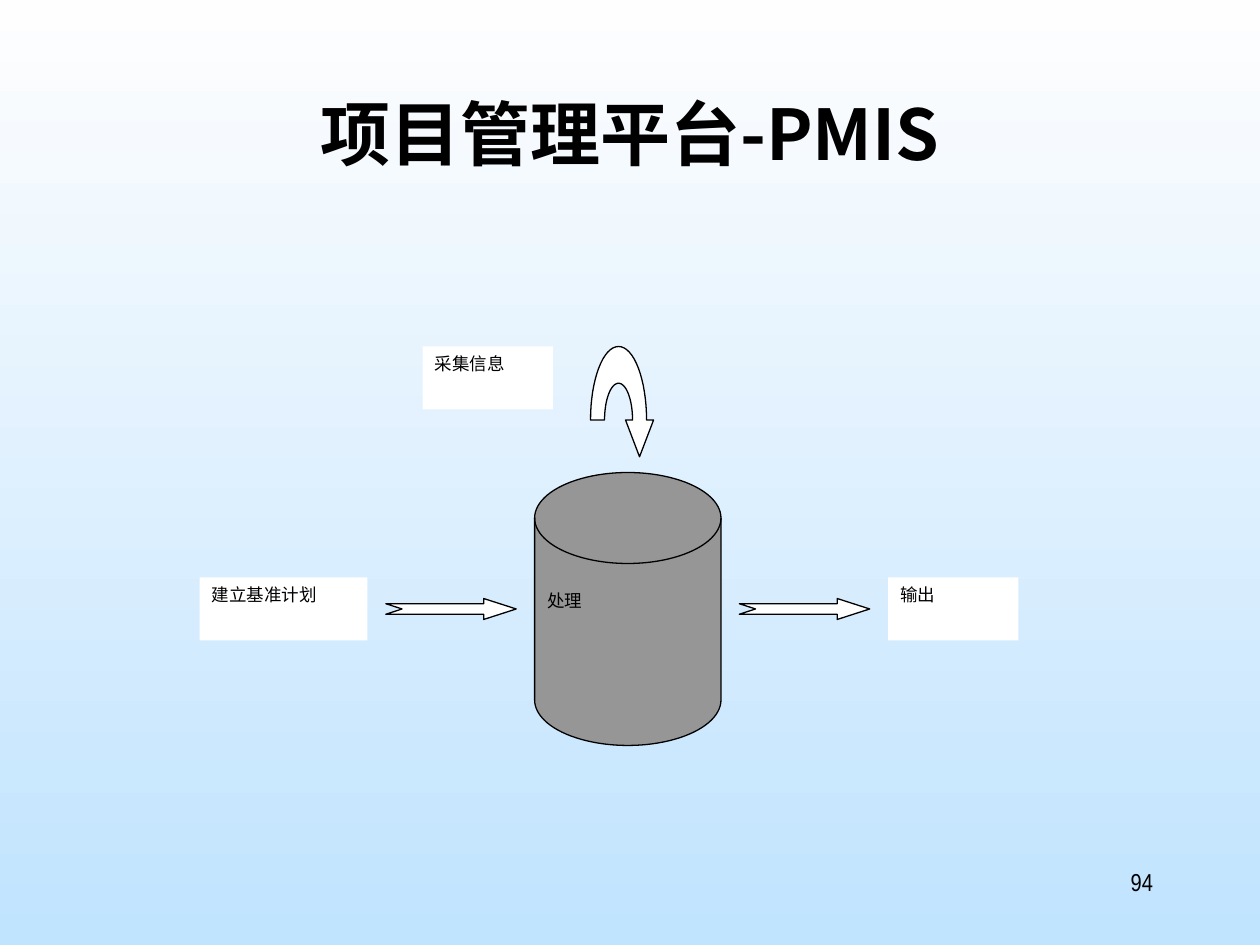
from math import cos, pi, sin

from pptx import Presentation
from pptx.dml.color import RGBColor
from pptx.enum.shapes import MSO_SHAPE
from pptx.enum.text import MSO_ANCHOR, PP_ALIGN
from pptx.util import Pt

COLORS = {
    "text": "000000",
    "line": "000000",
    "white": "FFFFFF",
    "disk": "969696",
    "sky_top": "FEFEFE",
    "sky_bottom": "C0E3FE",
}
TITLE_FONT, BODY_FONT, NUMBER_FONT = "Noto Sans CJK SC", "Times New Roman", "Arial Narrow"


def color(name):
    """Return the named colour."""
    return RGBColor.from_string(COLORS[name])


def set_background(s):
    """Fill the slide with a vertical gradient."""
    fill = s.background.fill
    fill.gradient()
    fill.gradient_angle = 270
    for stop, name in zip(fill.gradient_stops, ("sky_top", "sky_bottom")):
        stop.color.rgb = color(name)


def write(sp, text, font, size, align, bold=False, top=3.6):
    """Put one top-anchored paragraph into a shape."""
    tf = sp.text_frame
    tf.word_wrap = True
    tf.vertical_anchor = MSO_ANCHOR.TOP
    tf.margin_left = tf.margin_right = Pt(7.2)
    tf.margin_top, tf.margin_bottom = Pt(top), Pt(3.6)
    p = tf.paragraphs[0]
    p.text = text
    p.alignment = align
    p.font.name, p.font.size, p.font.bold = font, Pt(size), bold
    p.font.color.rgb = color("text")


def style(sp, fill, outlined=True):
    """Give a shape a flat fill and, if asked, a thin outline."""
    sp.shadow.inherit = False
    sp.fill.solid()
    sp.fill.fore_color.rgb = color(fill)
    if outlined:
        sp.line.color.rgb = color("line")
        sp.line.width = Pt(0.75)
    else:
        sp.line.fill.background()


def add_title(s, text):
    """Place and format the title placeholder."""
    sp = s.shapes.title
    sp.left, sp.top, sp.width, sp.height = Pt(54), Pt(48), Pt(612), Pt(90)
    write(sp, text, TITLE_FONT, 40, PP_ALIGN.CENTER, bold=True)


def add_label(s, text, x, y, w):
    """Add a white label box."""
    sp = s.shapes.add_shape(MSO_SHAPE.RECTANGLE, Pt(x), Pt(y), Pt(w), Pt(36))
    style(sp, "white", outlined=False)
    write(sp, text, BODY_FONT, 10, PP_ALIGN.JUSTIFY)


def add_disk(s, text, x, y, w, h):
    """Add the storage cylinder."""
    sp = s.shapes.add_shape(MSO_SHAPE.FLOWCHART_MAGNETIC_DISK, Pt(x), Pt(y), Pt(w), Pt(h))
    style(sp, "disk")
    write(sp, text, BODY_FONT, 10, PP_ALIGN.JUSTIFY, top=15)


def add_flow_arrow(s, x, y):
    """Add a notched arrow pointing right."""
    sp = s.shapes.add_shape(MSO_SHAPE.NOTCHED_RIGHT_ARROW, Pt(x), Pt(y), Pt(74.5), Pt(12))
    sp.adjustments[0], sp.adjustments[1] = 0.5, 1.55
    style(sp, "white")


def arch(cx, cy, rx, ry, steps=32):
    """Return points on the upper half of an ellipse, left to right."""
    angles = [pi * (1 - i / steps) for i in range(steps + 1)]
    return [(Pt(cx + rx * cos(a)), Pt(cy - ry * sin(a))) for a in angles]


def add_return_arrow(s, cx, cy):
    """Add an arched arrow that turns down."""
    head = [(Pt(cx + dx), Pt(cy + dy)) for dx, dy in ((20, 0), (12, 21), (4, 0))]
    outline = arch(cx, cy, 16, 42) + head + arch(cx, cy, 8, 21)[::-1]
    builder = s.shapes.build_freeform(*outline[0])
    builder.add_line_segments(outline[1:], close=True)
    style(builder.convert_to_shape(), "white")


def add_page_number(s, text):
    """Add the page number at lower right."""
    sp = s.shapes.add_textbox(Pt(516), Pt(492), Pt(150), Pt(36))
    write(sp, text, NUMBER_FONT, 14, PP_ALIGN.RIGHT)


def main():
    """Build and save the slide."""
    prs = Presentation()
    prs.slide_width, prs.slide_height = Pt(720), Pt(540)
    s = prs.slides.add_slide(prs.slide_layouts[5])
    set_background(s)
    add_title(s, "项目管理平台-PMIS")
    for text, x, y, w in (
        ("建立基准计划", 114, 330, 96),
        ("输出", 507.5, 330, 74.5),
        ("采集信息", 241.5, 198, 74.5),
    ):
        add_label(s, text, x, y, w)
    add_return_arrow(s, 353.5, 240)
    add_disk(s, "处理", 305.5, 270, 106.5, 156)
    for x in (220.5, 422.5):
        add_flow_arrow(s, x, 342)
    add_page_number(s, "94")
    prs.save("out.pptx")


if __name__ == "__main__":
    main()
